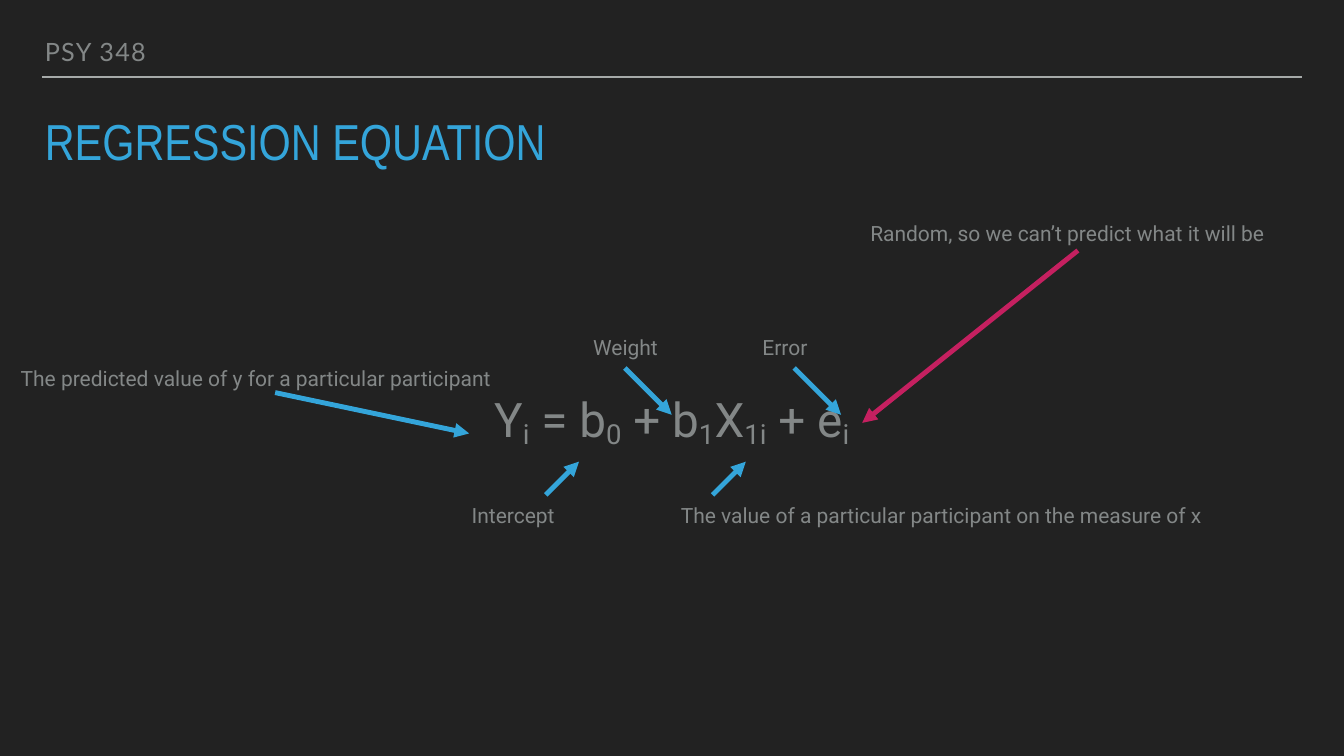
from pptx import Presentation
from pptx.dml.color import RGBColor
from pptx.enum.shapes import MSO_CONNECTOR
from pptx.enum.text import MSO_ANCHOR, MSO_AUTO_SIZE, PP_ALIGN
from pptx.oxml.ns import qn
from pptx.util import Inches, Pt
from lxml import etree

THEME = {
    "background": "222222", "text": "838787", "rule": "A6AAA9",
    "accent": "34A5DA", "alert": "C52060",
    "header_font": "Lato", "title_font": "Arial Narrow", "body_font": "Roboto",
    "header_size": 36, "title_size": 72.2, "equation_size": 68, "label_size": 30,
    "rule_width": 2, "arrow_width": 7, "inset": 0.06,
}
HEADER = "PSY 348"
TITLE = "REGRESSION EQUATION"
EQUATION = [("Y", "i"), (" = b", "0"), (" + b", "1"), ("X", "1i"), (" + e", "i")]
LABEL_HEIGHT = 0.68
LABELS = [
    ("Intercept", 9.3, 9.88, 1.85),
    ("The value of a particular participant on the measure of x", 13.45, 9.88, 10.76),
    ("Weight", 11.71, 6.54, 1.62),
    ("Error", 15.07, 6.54, 1.18),
    ("The predicted value of y for a particular participant", 0.35, 7.16, 9.8),
]
RANDOM_NOTE = ("Random, so we can’t predict what it will be", 17.21, 4.29, 8.36)
DOWN, UP = (0.93, 0.93), (0.66, -0.66)
ARROWS = [
    ((5.46, 7.79), (3.85, 0.81)),
    ((12.4, 7.3), DOWN),
    ((15.76, 7.3), DOWN),
    ((10.83, 9.82), UP),
    ((14.14, 9.82), UP),
]
RANDOM_START, RANDOM_REACH = (21.39, 4.97), (-4.28, 3.42)
MARGIN, CONTENT_WIDTH = 0.83, 25


def color(name):
    return RGBColor.from_string(THEME[name])


def set_frame(shape, anchor, wrap=True):
    frame = shape.text_frame
    frame.auto_size = MSO_AUTO_SIZE.NONE
    frame.word_wrap = wrap
    frame.vertical_anchor = anchor
    frame.margin_left = frame.margin_right = Inches(THEME["inset"])
    frame.margin_top = frame.margin_bottom = Inches(THEME["inset"])
    return frame


def add_frame(slide, box, anchor, wrap=True):
    shape = slide.shapes.add_textbox(*map(Inches, box))
    return shape, set_frame(shape, anchor, wrap)


def add_run(paragraph, text, role, ink="text", font="body_font"):
    run = paragraph.add_run()
    run.text = text
    run.font.name = THEME[font]
    run.font.size = Pt(THEME[role])
    run.font.color.rgb = color(ink)
    return run


def add_label(slide, text, left, top, width):
    label, frame = add_frame(slide, (left, top, width, LABEL_HEIGHT), MSO_ANCHOR.MIDDLE, False)
    add_run(frame.paragraphs[0], text, "label_size")
    return label


def add_line(slide, start, reach, ink, weight):
    end = (start[0] + reach[0], start[1] + reach[1])
    line = slide.shapes.add_connector(MSO_CONNECTOR.STRAIGHT, *map(Inches, start + end))
    line.line.color.rgb = color(ink)
    line.line.width = Pt(THEME[weight])
    etree.SubElement(line._element.spPr, qn("a:effectLst"))
    return line


def add_arrow(slide, start, reach, ink="accent"):
    arrow = add_line(slide, start, reach, ink, "arrow_width")
    etree.SubElement(arrow.line._get_or_add_ln(), qn("a:tailEnd"), type="triangle")
    return arrow


def add_header(slide):
    add_line(slide, (MARGIN, 1.53), (CONTENT_WIDTH, 0), "rule", "rule_width")
    _, frame = add_frame(slide, (MARGIN, 0.69, 22.92, 0.69), MSO_ANCHOR.BOTTOM)
    paragraph = frame.paragraphs[0]
    paragraph.line_spacing = 0.8
    run = add_run(paragraph, HEADER, "header_size", font="header_font")
    run.font._element.set("spc", "180")


def add_title(slide):
    title = slide.shapes.title
    title.left, title.top = Inches(MARGIN), Inches(2.36)
    title.width, title.height = Inches(CONTENT_WIDTH), Inches(1.11)
    paragraph = set_frame(title, MSO_ANCHOR.TOP).paragraphs[0]
    paragraph.alignment = PP_ALIGN.LEFT
    paragraph.line_spacing = 0.8
    add_run(paragraph, TITLE, "title_size", "accent", "title_font")


def add_equation(slide):
    _, frame = add_frame(slide, (MARGIN, 4.22, CONTENT_WIDTH, 9.39), MSO_ANCHOR.TOP)
    frame.margin_top = Inches(3.51)
    paragraph = frame.paragraphs[0]
    paragraph.alignment = PP_ALIGN.CENTER
    for term, subscript in EQUATION:
        add_run(paragraph, term, "equation_size")
        lowered = add_run(paragraph, subscript, "equation_size")
        lowered.font._element.set("baseline", "-16000")


def main():
    deck = Presentation()
    deck.slide_width, deck.slide_height = Inches(26.67), Inches(15)
    slide = deck.slides.add_slide(deck.slide_layouts.get_by_name("Title Only"))
    slide.background.fill.solid()
    slide.background.fill.fore_color.rgb = color("background")

    add_header(slide)
    add_title(slide)
    add_equation(slide)
    for label in LABELS:
        add_label(slide, *label)
    for start, reach in ARROWS:
        add_arrow(slide, start, reach)
    note = add_label(slide, *RANDOM_NOTE)
    add_arrow(slide, RANDOM_START, RANDOM_REACH, "alert").begin_connect(note, 2)

    deck.save("out.pptx")


if __name__ == "__main__":
    main()
